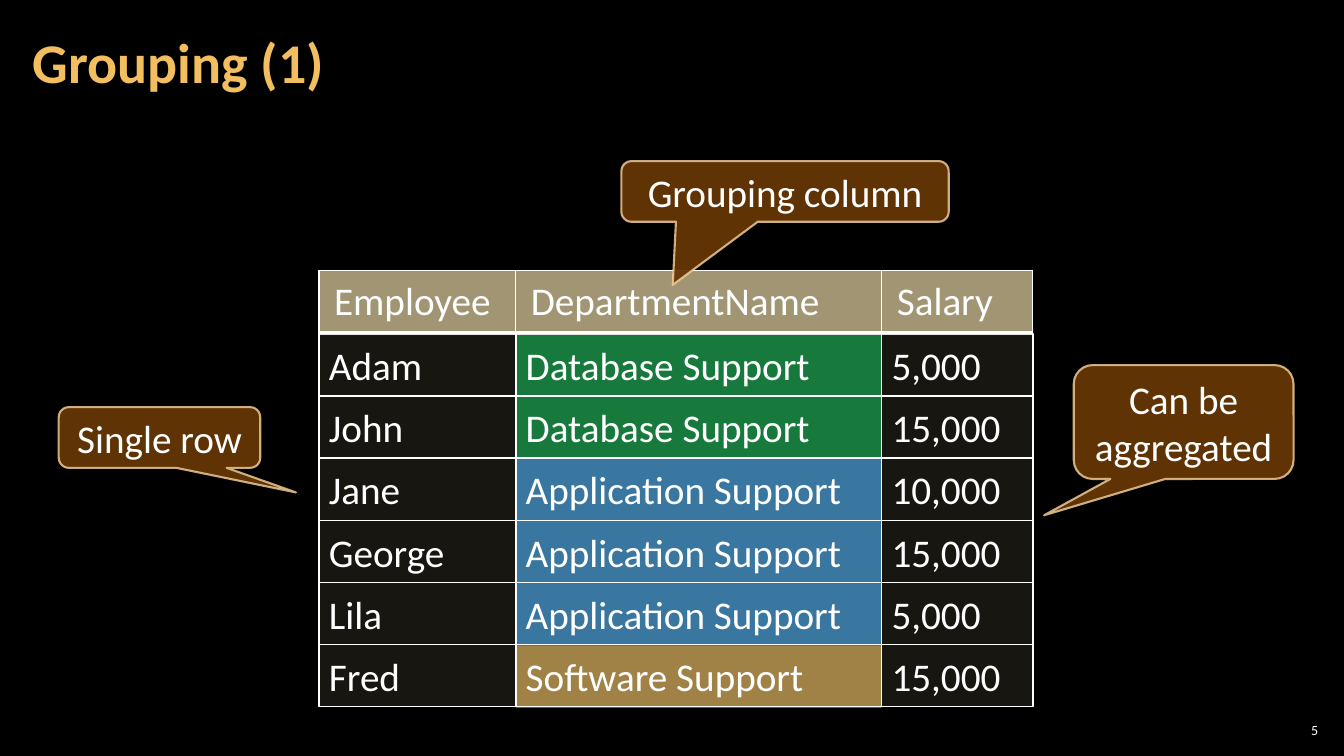
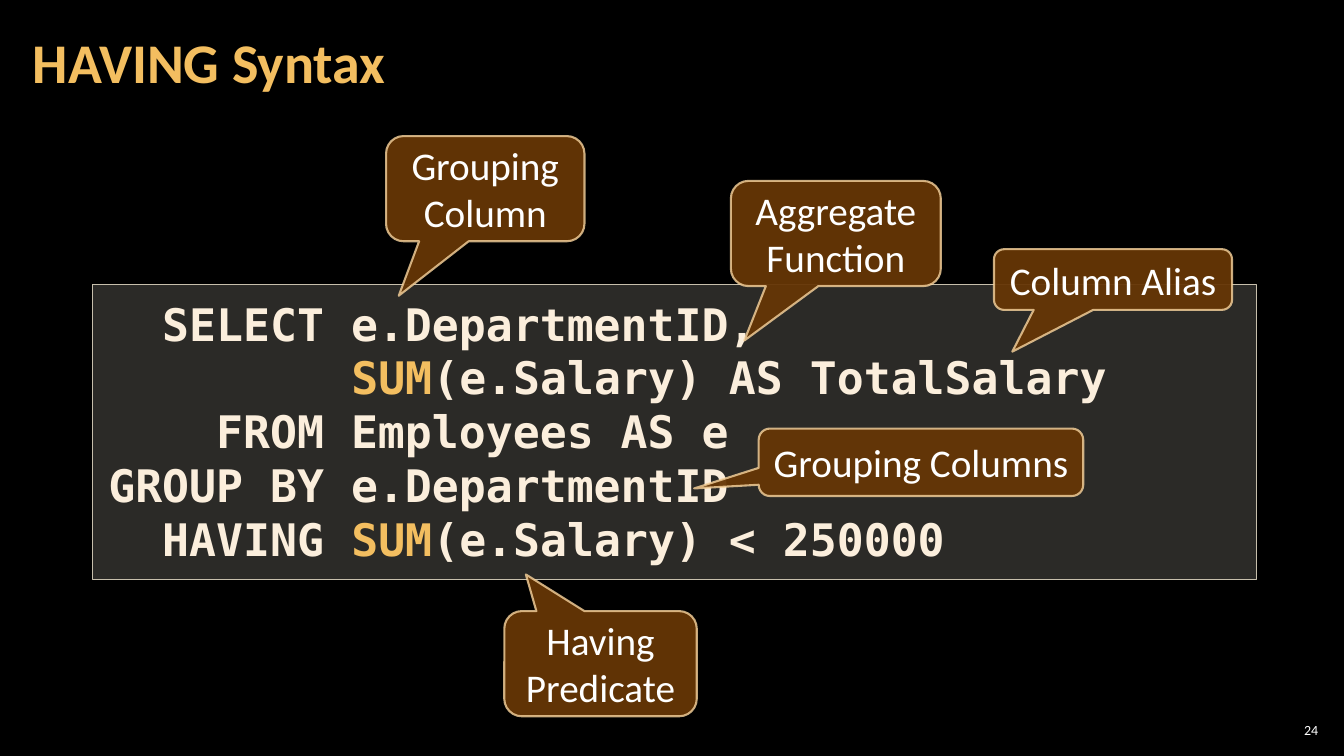
from itertools import groupby

from lxml import etree
from pptx import Presentation
from pptx.dml.color import RGBColor
from pptx.enum.shapes import MSO_SHAPE
from pptx.enum.text import MSO_ANCHOR, PP_ALIGN
from pptx.oxml import parse_xml
from pptx.oxml.ns import qn
from pptx.util import Cm, Pt

RECTANGLE = MSO_SHAPE.RECTANGLE
CALLOUT = MSO_SHAPE.ROUNDED_RECTANGULAR_CALLOUT
TOP, MIDDLE = MSO_ANCHOR.TOP, MSO_ANCHOR.MIDDLE
LEFT, CENTER, RIGHT = PP_ALIGN.LEFT, PP_ALIGN.CENTER, PP_ALIGN.RIGHT

BLACK = RGBColor(0x00, 0x00, 0x00)
WHITE = RGBColor(0xFF, 0xFF, 0xFF)
GOLD = RGBColor(0xF3, 0xBE, 0x60)
CREAM = RGBColor(0xFB, 0xEE, 0xDC)
BROWN = RGBColor(0x66, 0x36, 0x06)
SAND = RGBColor(0xF8, 0xD4, 0x9E)
CODE_FILL = RGBColor(0xD9, 0xD5, 0xC7)
CODE_LINE = RGBColor(0xC7, 0xBF, 0xAC)
HEADER = RGBColor(0xA1, 0x95, 0x74)
CELL = RGBColor(0x7C, 0x71, 0x54)
DEPARTMENT_FILLS = {
    "Database Support": RGBColor(0x00, 0xB0, 0x50),
    "Application Support": RGBColor(0x3B, 0xAB, 0xFF),
    "Software Support": GOLD,
}

BODY = {"name": "Calibri", "size": Pt(28), "bold": False}
TITLE = {"name": "Calibri", "size": Pt(40), "bold": True}
NUMBER = {"name": "Calibri", "size": Pt(10), "bold": False}
CODE = {"name": "DejaVu Sans Mono", "size": Pt(32), "bold": True}

BORDER = (
    '<a:{} xmlns:a="http://schemas.openxmlformats.org/drawingml/2006/main" w="{}">'
    '<a:solidFill><a:srgbClr val="FFFFFF"/></a:solidFill></a:{}>'
)
BORDER_WIDTHS = {"lnL": Pt(1), "lnR": Pt(1), "lnT": Pt(1), "lnB": Pt(3)}


def style(target, look, color):
    for key, value in look.items():
        setattr(target.font, key, value)
    target.font.color.rgb = color


def set_frame(frame, anchor, side, edge):
    values = {
        "word_wrap": True, "vertical_anchor": anchor,
        "margin_left": Cm(side), "margin_right": Cm(side),
        "margin_top": Cm(edge), "margin_bottom": Cm(edge),
    }
    for key, value in values.items():
        setattr(frame, key, value)


deck = Presentation()
deck.slide_width, deck.slide_height = Cm(33.87), Cm(19.05)
background = deck.slide_master.background.fill
background.solid()
background.fore_color.rgb = BLACK

pages = []
for heading, number in (("Grouping (1)", "5"), ("HAVING Syntax", "24")):
    page = deck.slides.add_slide(deck.slide_layouts[5])
    pages.append(page)

    title = page.shapes.title
    title.left, title.top, title.width, title.height = Cm(0.53), Cm(0.1), Cm(26.59), Cm(3.07)
    set_frame(title.text_frame, MIDDLE, 0.3, 0.1)
    title.text_frame.text = heading
    para = title.text_frame.paragraphs[0]
    para.alignment = LEFT
    para.line_spacing = 0.9
    style(para.runs[0], TITLE, GOLD)

    box = page.shapes.add_textbox(Cm(32.13), Cm(18.14), Cm(1.19), Cm(0.53))
    set_frame(box.text_frame, MIDDLE, 0.1, 0.1)
    box.text_frame.text = number
    para = box.text_frame.paragraphs[0]
    para.alignment = RIGHT
    style(para.runs[0], NUMBER, WHITE)

grouping, having = pages
painted = []

column_names = ("Employee", "DepartmentName", "Salary")
employees = [
    ("Adam", "Database Support", "5,000"),
    ("John", "Database Support", "15,000"),
    ("Jane", "Application Support", "10,000"),
    ("George", "Application Support", "15,000"),
    ("Lila", "Application Support", "5,000"),
    ("Fred", "Software Support", "15,000"),
]
column_widths = (4.96, 9.22, 3.81)
column_lefts = [8.04 + sum(column_widths[:index]) for index in range(3)]
grid_top, grid_bottom = 8.41, 17.81
row_height = (grid_bottom - grid_top) / len(employees)

band_top = grid_top + 0.02
for department, members in groupby(employees, key=lambda employee: employee[1]):
    band_height = row_height * len(list(members))
    band = grouping.shapes.add_shape(
        RECTANGLE, Cm(column_lefts[1]), Cm(band_top), Cm(column_widths[1]), Cm(band_height)
    )
    painted.append((band, DEPARTMENT_FILLS[department], 70, None, 100, 0))
    band_top += band_height

table = grouping.shapes.add_table(
    1, 3, Cm(column_lefts[0]), Cm(6.81), Cm(sum(column_widths)), Cm(1.58)
).table
table.horz_banding = False
for index, (name, width) in enumerate(zip(column_names, column_widths)):
    table.columns[index].width = Cm(width)
    cell = table.cell(0, index)
    cell.text = name
    cell.margin_left = cell.margin_right = Cm(0.38)
    cell.margin_top = cell.margin_bottom = Cm(0.2)
    cell.fill.solid()
    cell.fill.fore_color.rgb = HEADER
    style(cell.text_frame.paragraphs[0].runs[0], BODY, WHITE)
    properties = cell._tc.get_or_add_tcPr()
    for position, (side, width) in enumerate(BORDER_WIDTHS.items()):
        properties.insert(position, parse_xml(BORDER.format(side, width, side)))

for row, employee in enumerate(employees):
    for value, left, width in zip(employee, column_lefts, column_widths):
        box = grouping.shapes.add_shape(
            RECTANGLE, Cm(left), Cm(grid_top + row * row_height), Cm(width), Cm(row_height)
        )
        painted.append((box, CELL, 20, WHITE, 100, 1))
        set_frame(box.text_frame, MIDDLE, 0.25, 0.13)
        box.text_frame.text = value
        para = box.text_frame.paragraphs[0]
        para.alignment = LEFT
        style(para.runs[0], BODY, WHITE)

code_paragraphs = [
    ("  SELECT e.DepartmentID,", "         SUM(e.Salary) AS TotalSalary"),
    ("    FROM Employees AS e",),
    ("GROUP BY e.DepartmentID",),
    ("  HAVING SUM(e.Salary) < 250000",),
]
panel = having.shapes.add_shape(RECTANGLE, Cm(2.33), Cm(7.17), Cm(29.33), Cm(7.44))
painted.append((panel, CODE_FILL, 20, CODE_LINE, 100, 1))
frame = panel.text_frame
set_frame(frame, TOP, 0.4, 0.3)
for index, lines in enumerate(code_paragraphs):
    para = frame.add_paragraph() if index else frame.paragraphs[0]
    para.alignment = LEFT
    para.line_spacing = Pt(38.4)
    for line_index, line in enumerate(lines):
        if line_index:
            para.add_line_break()
        for text in filter(None, line.partition("SUM")):
            span = para.add_run()
            span.text = text
            style(span, CODE, GOLD if text == "SUM" else CREAM)

callouts = [
    (grouping, "Grouping column", (15.66, 4.06, 8.25, 1.53), (-0.343, 1.539)),
    (grouping, "Single row", (1.48, 10.26, 5.08, 1.53), (0.677, 0.905)),
    (grouping, "Can be aggregated", (27.06, 9.2, 5.54, 2.87), (-0.635, 0.819)),
    (having, "Grouping Column", (9.73, 3.43, 5, 2.65), (-0.436, 1.018)),
    (having, "Aggregate\vFunction", (18.42, 4.56, 5.29, 2.65), (-0.436, 1.018)),
    (having, "Grouping Columns", (19.12, 10.8, 8.18, 1.7), (-0.699, 0.388)),
    (having, "Column Alias", (25.05, 6.28, 6, 1.53), (-0.423, 1.188)),
    (having, "Having Predicate", (12.71, 15.4, 4.85, 2.65), (-0.388, -0.849)),
]
for page, text, place, tip in callouts:
    callout = page.shapes.add_shape(CALLOUT, *[Cm(length) for length in place])
    callout.adjustments[0], callout.adjustments[1] = tip
    painted.append((callout, BROWN, 95, SAND, 80, 1.5))
    set_frame(callout.text_frame, MIDDLE, 0.25, 0.13)
    callout.text_frame.text = text
    para = callout.text_frame.paragraphs[0]
    para.alignment = CENTER
    for span in para.runs:
        style(span, BODY, WHITE)

for shape, fill, fill_opacity, line, line_opacity, line_width in painted:
    shape.shadow.inherit = False
    shape.fill.solid()
    shape.fill.fore_color.rgb = fill
    if line is None:
        shape.line.fill.background()
    else:
        shape.line.color.rgb = line
        shape.line.width = Pt(line_width)
    colors = shape.element.spPr.iter(qn("a:srgbClr"))
    for color, opacity in zip(colors, (fill_opacity, line_opacity)):
        if opacity < 100:
            etree.SubElement(color, qn("a:alpha")).set("val", str(opacity * 1000))

deck.save("out.pptx")
